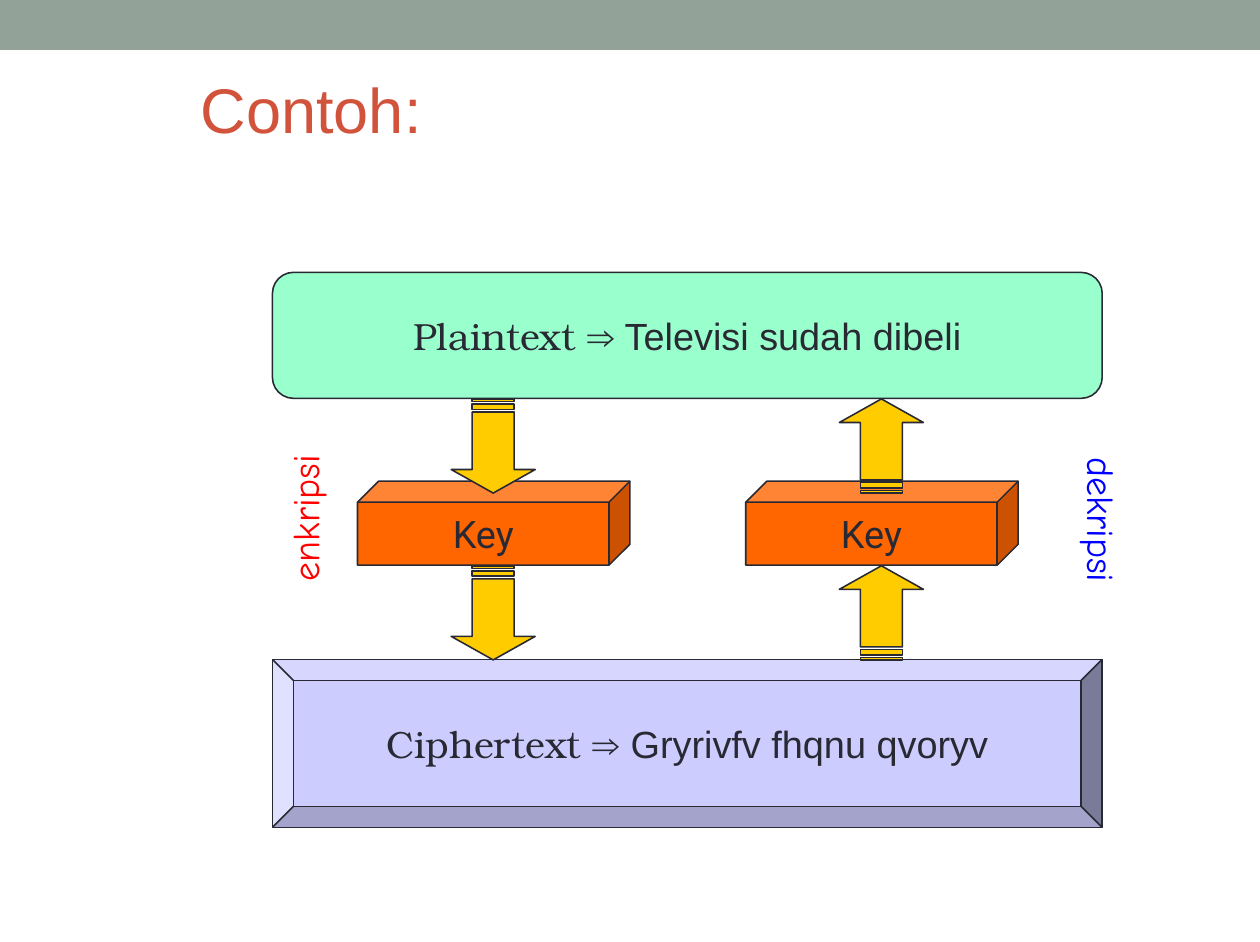
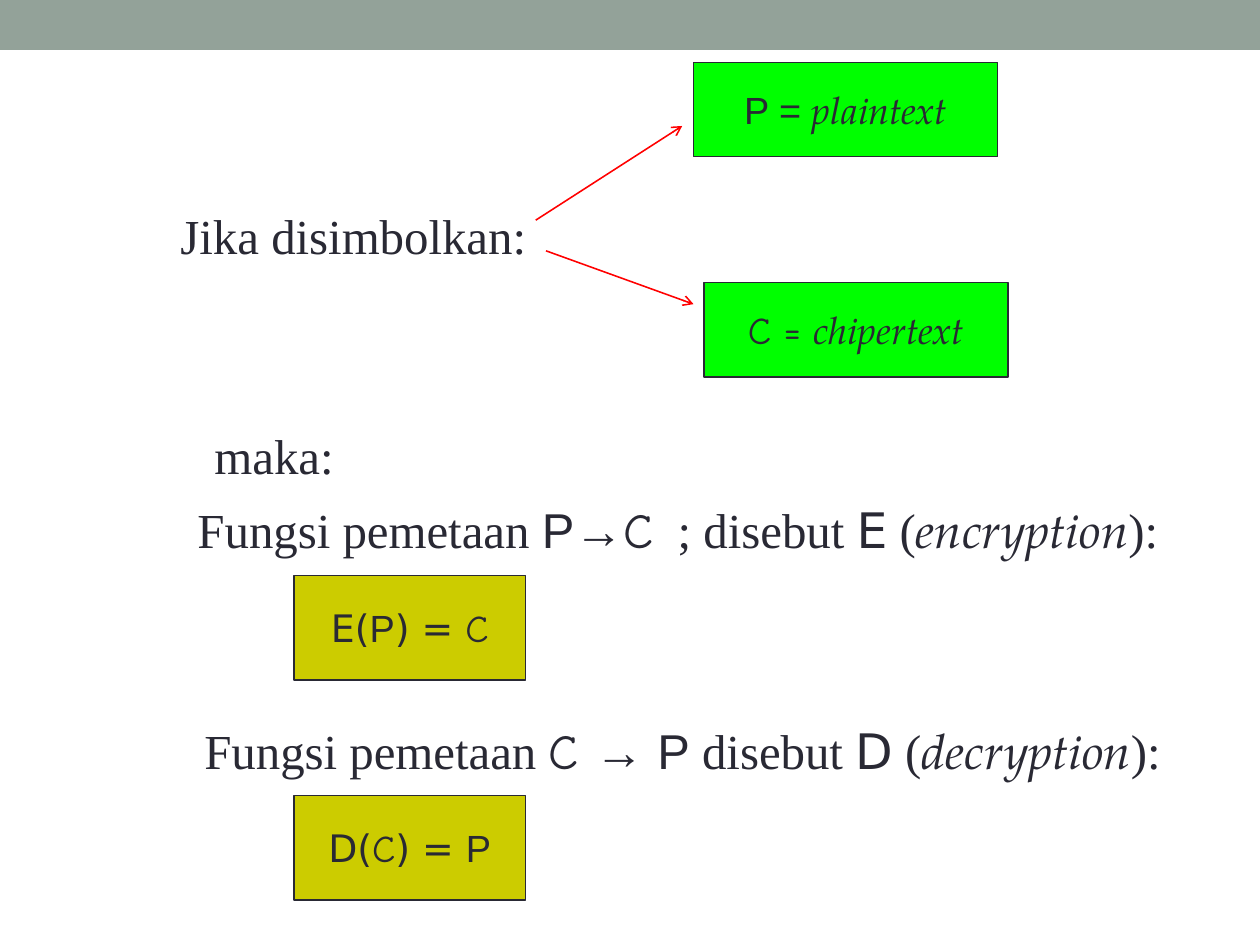
from dataclasses import dataclass

from lxml import etree
from pptx import Presentation
from pptx.dml.color import RGBColor
from pptx.enum.shapes import MSO_CONNECTOR, MSO_SHAPE
from pptx.enum.text import MSO_ANCHOR, MSO_AUTO_SIZE, PP_ALIGN
from pptx.oxml.ns import qn
from pptx.util import Pt

RECT = MSO_SHAPE.RECTANGLE
ROUNDED = MSO_SHAPE.ROUNDED_RECTANGLE
BEVEL = MSO_SHAPE.BEVEL
CUBE = MSO_SHAPE.CUBE
STRIPED_ARROW = MSO_SHAPE.STRIPED_RIGHT_ARROW
STRAIGHT = MSO_CONNECTOR.STRAIGHT
MIDDLE = MSO_ANCHOR.MIDDLE
TOP = MSO_ANCHOR.TOP
CENTER = PP_ALIGN.CENTER
LEFT = PP_ALIGN.LEFT
GROW = MSO_AUTO_SIZE.SHAPE_TO_FIT_TEXT

EMU_PER_PX = 9144
SLIDE_W, SLIDE_H = 1110, 830


@dataclass(frozen=True)
class Theme:
    band: str = "93A299"
    title: str = "D2533C"
    ink: str = "292934"
    mint: str = "99FFCC"
    lavender: str = "CCCCFF"
    orange: str = "FF6600"
    gold: str = "FFCC00"
    green: str = "00FF00"
    olive: str = "CCCC00"
    red: str = "FF0000"
    blue: str = "0000FF"
    title_size: int = 40
    body_size: int = 31
    label_size: int = 24
    line_width: int = 1
    sans: str = "Arial"
    serif: str = "Times New Roman"
    bonum: str = "TeX Gyre Bonum"
    italic: str = "TeX Gyre Pagella"
    hand: str = "Comic Neue"
    key: str = "Roboto"
    symbol: str = "DejaVu Sans"


T = Theme()


def px(*lengths):
    return [n * EMU_PER_PX for n in lengths]


def rgb(color):
    return RGBColor.from_string(color)


def write(sp, parts, size, color=T.ink, align=LEFT, anchor=TOP, wrap=False):
    tf = sp.text_frame
    tf.word_wrap = wrap
    tf.vertical_anchor = anchor
    tf.margin_left, tf.margin_right, tf.margin_top, tf.margin_bottom = px(11, 11, 6, 6)
    p = tf.paragraphs[0]
    p.alignment = align
    for text, font in parts:
        r = p.add_run()
        r.text = text
        r.font.name = font
        r.font.size = Pt(size)
        r.font.italic = font == T.italic
        r.font.color.rgb = rgb(color)


def add_label(s, box, parts, size, color=T.ink, rotation=0):
    sp = s.shapes.add_textbox(*px(*box))
    sp.rotation = rotation
    write(sp, parts, size, color)
    sp.text_frame.auto_size = GROW


def add_block(s, kind, box, fill, parts=(), adjustments=(), rotation=0, outlined=True):
    sp = s.shapes.add_shape(kind, *px(*box))
    sp.shadow.inherit = False
    sp.fill.solid()
    sp.fill.fore_color.rgb = rgb(fill)
    if outlined:
        sp.line.color.rgb = rgb(T.ink)
        sp.line.width = Pt(T.line_width)
    else:
        sp.line.fill.background()
    for i, value in enumerate(adjustments):
        sp.adjustments[i] = value
    sp.rotation = rotation
    if parts:
        write(sp, parts, T.label_size, align=CENTER, anchor=MIDDLE)


def add_pointer(s, start, end):
    line = s.shapes.add_connector(STRAIGHT, *px(*start, *end))
    line.line.color.rgb = rgb(T.red)
    line.line.width = Pt(T.line_width)
    etree.SubElement(line.line._get_or_add_ln(), qn("a:tailEnd"), type="arrow")
    etree.SubElement(line._element.spPr, qn("a:effectLst"))


def add_slide(prs):
    s = prs.slides.add_slide(prs.slide_layouts[6])
    add_block(s, RECT, (0, 0, SLIDE_W, 44), T.band, outlined=False)
    return s


def add_title(s, box, text):
    sp = s.shapes.add_textbox(*px(*box))
    write(sp, [(text, T.sans)], T.title_size, T.title, anchor=MIDDLE, wrap=True)


def add_key_branch(s, box, rotation):
    x, y, w, h = box
    key_h, length, thickness = 74, 83, 74
    key_y = y + 73
    add_block(s, CUBE, (x, key_y, w, key_h), T.orange, [("Key", T.key)], [0.25])
    for top in (y, key_y + key_h):
        arrow = (x + w // 2 - 42, top + 5, length, thickness)
        add_block(s, STRIPED_ARROW, arrow, T.gold,
                  adjustments=[0.5, 0.28], rotation=rotation)


def add_cipher_diagram(s, box):
    x, y, w, h = box
    plain_h, cipher_h = 111, 148
    cipher_y = y + h - cipher_h
    add_block(s, ROUNDED, (x, y, w, plain_h), T.mint,
              [("Plaintext ", T.bonum), ("⇒ Televisi sudah dibeli", T.sans)], [0.167])
    add_block(s, BEVEL, (x, cipher_y, w, cipher_h), T.lavender,
              [("Ciphertext ", T.bonum), ("⇒ Gryrivfv fhqnu qvoryv", T.sans)], [0.125])
    branch_y = y + plain_h
    branch_h = cipher_y - branch_y
    for dx, rotation in ((75, 90), (417, 270)):
        add_key_branch(s, (x + dx, branch_y, 240, branch_h), rotation)
    for dx, dy, text, color, rotation in ((-39, 191, "enkripsi", T.red, 270),
                                          (665, 193, "dekripsi", T.blue, 90)):
        add_label(s, (x + dx, y + dy, 133, 51), [(text, T.hand)],
                  T.label_size, color, rotation)


def add_symbols(s, box):
    x, y, w, h = box
    block_w, block_h = 268, 83
    add_label(s, (x, y + 120, 327, 63), [("Jika disimbolkan:", T.serif)], T.body_size)
    add_block(s, RECT, (x + w - block_w, y + h - block_h, block_w, block_h), T.green,
              [("C = ", T.hand), ("chipertext", T.italic)])
    add_block(s, RECT, (x + w - block_w - 9, y, block_w, block_h), T.green,
              [("P = ", T.sans), ("plaintext", T.italic)])
    add_pointer(s, (x + 324, y + 139), (x + 453, y + 56))
    add_pointer(s, (x + 333, y + 166), (x + 463, y + 213))


def add_mapping(s, box, indent, sentence, formula):
    x, y, w, h = box
    formula_w, formula_h = 204, 92
    add_label(s, (x + indent, y, w - indent, 63), sentence, T.body_size)
    add_block(s, RECT, (x + 96, y + h - formula_h, formula_w, formula_h), T.olive, formula)


def build_example(prs):
    s = add_slide(prs)
    add_title(s, (166, 65, 916, 61), "Contoh:")
    add_cipher_diagram(s, (240, 240, 731, 489))


def build_notation(prs):
    s = add_slide(prs)
    add_symbols(s, (148, 55, 740, 277))
    add_label(s, (178, 369, 127, 63), [("maka:", T.serif)], T.body_size)
    add_mapping(
        s, (163, 434, 885, 165), 0,
        [("Fungsi pemetaan ", T.serif), ("P→", T.sans), ("C", T.hand),
         ("  ; disebut ", T.serif), ("E", T.symbol), (" (", T.serif),
         ("encryption", T.italic), ("):", T.serif)],
        [("E(", T.symbol), ("P", T.sans), (") = ", T.symbol), ("C", T.hand)])
    add_mapping(
        s, (163, 629, 887, 164), 6,
        [("Fungsi pemetaan ", T.serif), ("C ", T.hand), ("→ P", T.sans),
         (" disebut ", T.serif), ("D", T.symbol), (" (", T.serif),
         ("decryption", T.italic), ("):", T.serif)],
        [("D(", T.symbol), ("C", T.hand), (") = ", T.symbol), ("P", T.sans)])


def main():
    prs = Presentation()
    prs.slide_width, prs.slide_height = px(SLIDE_W, SLIDE_H)
    build_example(prs)
    build_notation(prs)
    prs.save("out.pptx")


if __name__ == "__main__":
    main()
